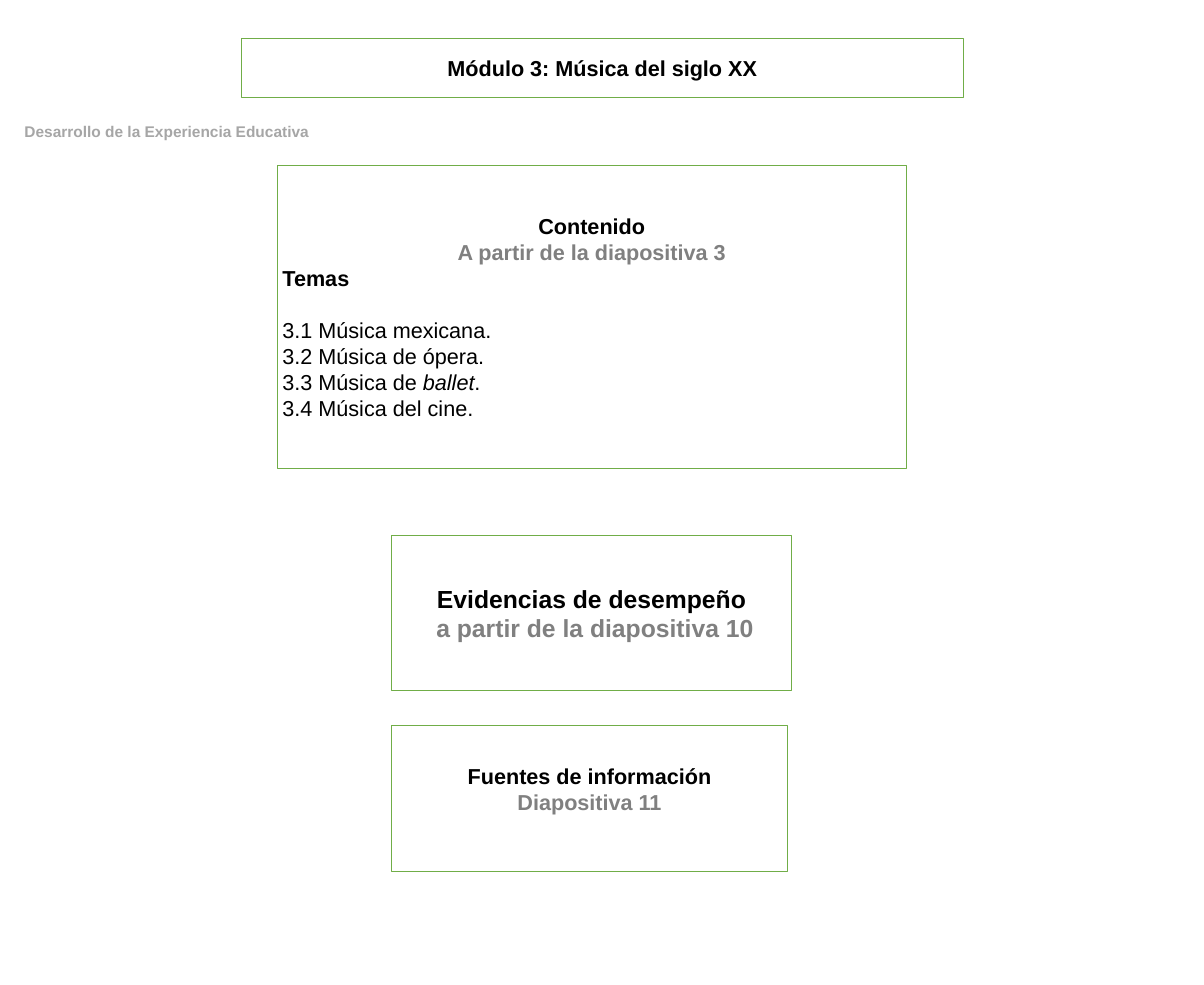
"""Build the overview slide of module 3 on twentieth-century music."""
from pptx import Presentation
from pptx.dml.color import RGBColor
from pptx.enum.shapes import MSO_SHAPE
from pptx.enum.text import MSO_ANCHOR, MSO_AUTO_SIZE, PP_ALIGN
from pptx.util import Pt

SCALE = 9144
SIZE = (2165, 1772)
FONT = "Arial"
COLORS = {"black": "000000", "gray": "808080", "pale": "A6A6A6",
          "white": "FFFFFF", "green": "70AD47"}
MID, LEFT = PP_ALIGN.CENTER, PP_ALIGN.LEFT

TITLE = {"box": (434, 69, 1298, 107), "size": 28,
         "lines": [(MID, "black", "b", ["Módulo 3: Música del siglo XX"])]}
LABEL = {"box": (0, 212, 600, 50), "size": 20,
         "lines": [(MID, "pale", "b", ["Desarrollo de la Experiencia Educativa"])]}
TOPICS = [["3.1 Música mexicana."], ["3.2 Música de ópera."],
          ["3.3 Música de ", "ballet", "."], ["3.4 Música del cine."]]
CARDS = [
    {"box": (498, 297, 1132, 546), "size": 28, "gaps": {3: 34},
     "lines": [(MID, "black", "b", ["Contenido"]),
               (MID, "gray", "b", ["A partir de la diapositiva 3"]),
               (LEFT, "black", "b", ["Temas"])]
              + [(LEFT, "black", "", runs) for runs in TOPICS]},
    {"box": (704, 964, 720, 278), "size": 32,
     "lines": [(MID, "black", "b", ["Evidencias de desempeño"]),
               (MID, "gray", "b", [" a partir de la diapositiva 10"])]},
    {"box": (704, 1305, 712, 263), "size": 28, "foot": 40,
     "lines": [(MID, "black", "b", ["Fuentes de información"]),
               (MID, "gray", "b", ["Diapositiva 11"])]},
]
ITALIC = {"ballet"}


def emu(nums):
    return [num * SCALE for num in nums]


def color(name):
    return RGBColor.from_string(COLORS[name])


def frame(shape):
    shape.fill.solid()
    shape.fill.fore_color.rgb = color("white")
    shape.line.color.rgb = color("green")
    shape.line.width = Pt(1)


def write(shape, item):
    text = shape.text_frame
    text.word_wrap = True
    text.auto_size = MSO_AUTO_SIZE.NONE
    text.vertical_anchor = MSO_ANCHOR.MIDDLE
    text.margin_bottom = item.get("foot", 5) * SCALE
    for row, (align, tint, style, runs) in enumerate(item["lines"]):
        para = text.add_paragraph() if row else text.paragraphs[0]
        para.alignment = align
        para.space_before = Pt(item.get("gaps", {}).get(row, 0))
        for words in runs:
            run = para.add_run()
            run.text = words
            run.font.name = FONT
            run.font.size = Pt(item["size"])
            run.font.bold = style == "b"
            run.font.italic = words in ITALIC
            run.font.color.rgb = color(tint)


def main():
    deck = Presentation()
    deck.slide_width, deck.slide_height = emu(SIZE)
    slide = deck.slides.add_slide(deck.slide_layouts[5])
    title = slide.shapes.title
    title.left, title.top, title.width, title.height = emu(TITLE["box"])
    frame(title)
    write(title, TITLE)
    for card in CARDS:
        shape = slide.shapes.add_shape(MSO_SHAPE.RECTANGLE, *emu(card["box"]))
        shape.shadow.inherit = False
        frame(shape)
        write(shape, card)
    write(slide.shapes.add_textbox(*emu(LABEL["box"])), LABEL)
    deck.save("out.pptx")


if __name__ == "__main__":
    main()
